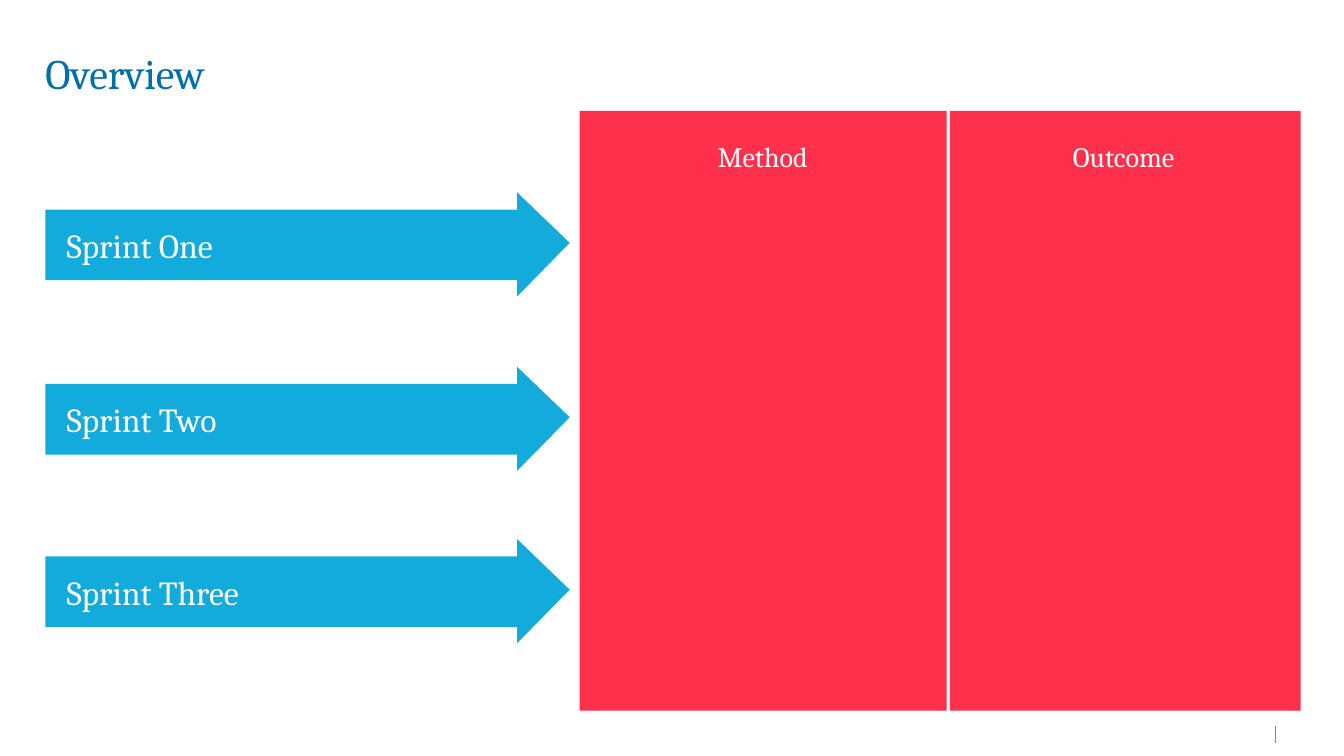
"""Build the sprint overview slide with its method and outcome panels."""
from dataclasses import dataclass

from lxml import etree
from pptx import Presentation
from pptx.dml.color import RGBColor
from pptx.enum.shapes import MSO_CONNECTOR, MSO_SHAPE
from pptx.enum.text import MSO_ANCHOR, MSO_AUTO_SIZE, PP_ALIGN
from pptx.oxml.ns import qn
from pptx.util import Pt

PX = 9144
RECT = MSO_SHAPE.RECTANGLE
LINE = MSO_CONNECTOR.STRAIGHT
MIDDLE = MSO_ANCHOR.MIDDLE
FIXED = MSO_AUTO_SIZE.NONE
LEFT = PP_ALIGN.LEFT
CENTER = PP_ALIGN.CENTER


@dataclass
class Theme:
    """Colours, font and type sizes."""
    font: str = "Cambria"
    navy: str = "0070AD"
    sky: str = "12ABDB"
    red: str = "FF304C"
    white: str = "FFFFFF"
    title: int = 30
    label: int = 24
    head: int = 20


class Deck:
    """Draw styled elements on the current slide."""

    def __init__(self, theme, slide):
        self.theme = theme
        self.slide = slide
        self.shapes = slide.shapes

    def paint(self, shape, color):
        """Give a shape a plain fill without line or shadow."""
        shape.shadow.inherit = False
        shape.fill.solid()
        shape.fill.fore_color.rgb = RGBColor.from_string(color)
        shape.line.fill.background()

    def label(self, shape, text, size, color, align=LEFT, inset=0):
        """Put one line of text in a shape."""
        frame = shape.text_frame
        frame.word_wrap = True
        frame.auto_size = FIXED
        frame.vertical_anchor = MIDDLE
        frame.margin_left = frame.margin_right = inset * PX
        frame.margin_top = frame.margin_bottom = 0
        para = frame.paragraphs[0]
        para.alignment = align
        para.space_before = Pt(0)
        run = para.add_run()
        run.text = text
        run.font.name = self.theme.font
        run.font.size = Pt(size)
        run.font.bold = False
        run.font.color.rgb = RGBColor.from_string(color)

    def rect(self, x, y, w, h, color):
        """Add a plain rectangle."""
        shape = self.shapes.add_shape(RECT, x * PX, y * PX, w * PX, h * PX)
        self.paint(shape, color)
        return shape

    def arrow(self, y, text):
        """Add a labelled bar with a pointed end."""
        bar = self.rect(45, y, 471, 70, self.theme.sky)
        self.label(bar, text, self.theme.label, self.theme.white, inset=21)
        pen = self.shapes.build_freeform(513, y - 17, scale=PX)
        pen.add_line_segments([(565, y + 33), (513, y + 86)])
        self.paint(pen.convert_to_shape(), self.theme.sky)

    def holder(self, idx, x, y, w, h):
        """Move a placeholder into place and to the front."""
        shape = next(p for p in self.slide.placeholders
                     if p.placeholder_format.idx == idx)
        shape.left, shape.top = x * PX, y * PX
        shape.width, shape.height = w * PX, h * PX
        shape.element.getparent().append(shape.element)
        return shape

    def title(self, text):
        """Fill the title."""
        shape = self.holder(0, 45, 44, 1205, 57)
        self.label(shape, text, self.theme.title, self.theme.navy)

    def panel(self, x, w, idx, left, text):
        """Add a column panel and its heading."""
        self.rect(x, 110, w, 595, self.theme.red)
        shape = self.holder(idx, left, 126, 327, 59)
        self.label(shape, text, self.theme.head, self.theme.white, CENTER, 16)

    def rule(self, x, y, end):
        """Add a thin upright line."""
        line = self.shapes.add_connector(LINE, x * PX, y * PX, x * PX, end * PX)
        line.line.color.rgb = RGBColor.from_string(self.theme.sky)
        line.line.width = Pt(1)
        props = line.element.find(qn("p:spPr"))
        etree.SubElement(props, qn("a:effectLst"))

    def prune(self):
        """Remove the placeholders left empty."""
        for shape in list(self.slide.placeholders):
            if not shape.text_frame.text:
                shape.element.getparent().remove(shape.element)


def main():
    """Build and save the slide."""
    show = Presentation()
    show.slide_width, show.slide_height = 1333 * PX, 750 * PX
    layout = show.slide_layouts.get_by_name("Comparison")
    deck = Deck(Theme(), show.slides.add_slide(layout))
    deck.rule(1265, 737, 720)
    deck.title("Overview")
    for y, text in ((208, "Sprint One"), (381, "Sprint Two"),
                    (552, "Sprint Three")):
        deck.arrow(y, text)
    deck.panel(575, 364, 1, 593, "Method")
    deck.panel(942, 348, 3, 951, "Outcome")
    deck.prune()
    show.save("out.pptx")


if __name__ == "__main__":
    main()
